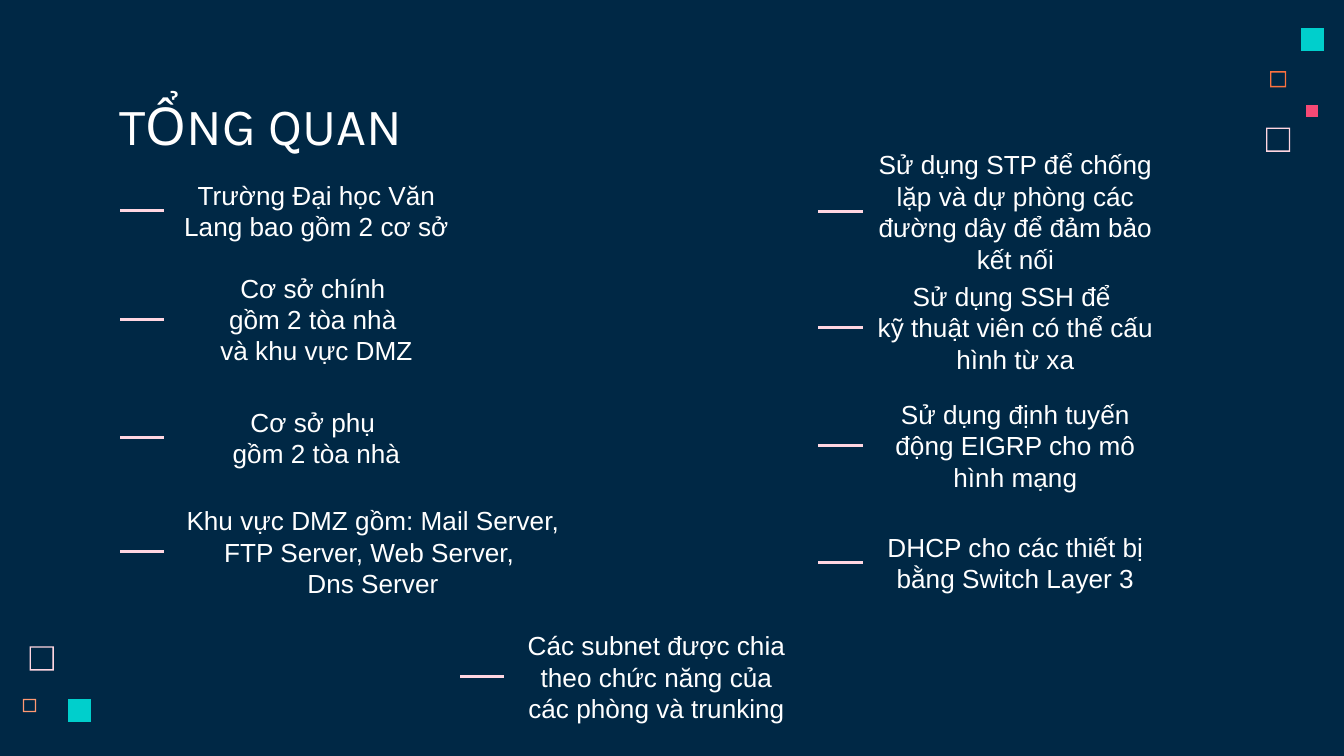
from pptx import Presentation, util as u
from pptx.dml.color import RGBColor
from pptx.enum import shapes as sh, text as tx
from pptx.oxml.ns import qn
from lxml import etree

WHITE, PINK, TEAL = "FFFFFF", "FFD6E1", "00CFCC"
LEFT, RIGHT, MID = 1.22, 6.42, 3.75
WIDE, HIGH = 2.27, 0.53
DASH = 0.33

FACTS = [
    (LEFT, 1.3, WIDE, "Trường Đại học Văn Lang bao gồm 2 cơ sở"),
    (LEFT, 2.11, WIDE, "Cơ sở chính \ngồm 2 tòa nhà \nvà khu vực DMZ"),
    (LEFT, 2.99, WIDE, "Cơ sở phụ \ngồm 2 tòa nhà"),
    (LEFT, 3.84, 3.11, "Khu vực DMZ gồm: Mail Server, FTP Server, Web Server, \nDns Server"),
    (RIGHT, 1.31, WIDE, "Sử dụng STP để chống lặp và dự phòng các đường dây để đảm bảo kết nối"),
    (RIGHT, 2.17, WIDE, "Sử dụng SSH để \nkỹ thuật viên có thể cấu hình từ xa"),
    (RIGHT, 3.05, WIDE, "Sử dụng định tuyến động EIGRP cho mô hình mạng"),
    (RIGHT, 3.92, WIDE, "DHCP cho các thiết bị bằng Switch Layer 3"),
    (MID, 4.77, WIDE, "Các subnet được chia theo chức năng của các phòng và trunking"),
]

SQUARES = [
    (9.42, 0.95, 0.18, PINK, True),
    (9.45, 0.53, 0.12, "FC723F", True),
    (9.68, 0.21, 0.17, TEAL, False),
    (0.17, 5.2, 0.1, "FF9973", True),
    (9.72, 0.78, 0.09, "F64975", False),
    (0.22, 4.81, 0.18, PINK, True),
    (0.51, 5.2, 0.17, TEAL, False),
]


def rgb(code):
    """Turn a hex string into a colour."""
    return RGBColor.from_string(code)


def add_run(para, words, font, size):
    """Add one white run to a paragraph."""
    run = para.add_run()
    run.text = words
    run.font.name = font
    run.font.size = u.Pt(size)
    run.font.color.rgb = rgb(WHITE)


def set_frame(frame, anchor):
    """Set wrapping, insets and anchor of a text frame."""
    frame.word_wrap = True
    frame.auto_size = tx.MSO_AUTO_SIZE.NONE
    frame.vertical_anchor = anchor
    frame.margin_left = frame.margin_right = u.Inches(0.1)
    frame.margin_top = frame.margin_bottom = u.Inches(0.1)


def add_square(slide, x, y, side, color, hollow):
    """Draw a small filled square or a thin square ring."""
    def ring(inset):
        a, b = u.Inches(inset), u.Inches(side - inset)
        left, top = u.Inches(x), u.Inches(y)
        return [(left + i, top + j) for i, j in ((a, a), (a, b), (b, b), (b, a))]

    outer = ring(0)
    pen = slide.shapes.build_freeform(*outer[0])
    pen.add_line_segments(outer[1:])
    if hollow:
        inner = ring(0.01)
        pen.move_to(*inner[0])
        pen.add_line_segments(inner[:0:-1])
    mark = pen.convert_to_shape()
    mark.shadow.inherit = False
    mark.fill.solid()
    mark.fill.fore_color.rgb = rgb(color)
    mark.line.fill.background()


def add_title(slide, words):
    """Place and format the title."""
    title = slide.shapes.title
    title.left, title.top = u.Inches(0.79), u.Inches(0.59)
    title.width, title.height = u.Inches(8.43), u.Inches(0.63)
    set_frame(title.text_frame, tx.MSO_ANCHOR.TOP)
    para = title.text_frame.paragraphs[0]
    para.alignment = tx.PP_ALIGN.LEFT
    add_run(para, words, "Karla", 28)


def add_fact(slide, x, y, wide, words):
    """Add a centred text with a dash joined to its left side."""
    box = slide.shapes.add_textbox(u.Inches(x), u.Inches(y), u.Inches(wide), u.Inches(HIGH))
    set_frame(box.text_frame, tx.MSO_ANCHOR.MIDDLE)
    para = box.text_frame.paragraphs[0]
    para.alignment = tx.PP_ALIGN.CENTER
    for i, part in enumerate(words.split("\n")):
        if i:
            para.add_line_break()
        add_run(para, part, "Arial", 14)

    mid = u.Inches(y + HIGH / 2)
    dash = slide.shapes.add_connector(
        sh.MSO_CONNECTOR.STRAIGHT, u.Inches(x), mid, u.Inches(x - DASH), mid)
    dash.begin_connect(box, 1)
    dash.end_y = dash.begin_y
    dash.line.color.rgb = rgb(PINK)
    dash.line.width = u.Pt(1.5)
    etree.SubElement(dash.line._get_or_add_ln().getparent(), qn("a:effectLst"))


def main():
    """Build the overview slide."""
    deck = Presentation()
    deck.slide_width, deck.slide_height = u.Inches(10), u.Inches(5.625)
    slide = deck.slides.add_slide(deck.slide_layouts[5])
    slide.background.fill.solid()
    slide.background.fill.fore_color.rgb = rgb("002845")
    for square in SQUARES:
        add_square(slide, *square)
    add_title(slide, "TỔNG QUAN")
    for fact in FACTS:
        add_fact(slide, *fact)
    deck.save("out.pptx")


if __name__ == "__main__":
    main()
